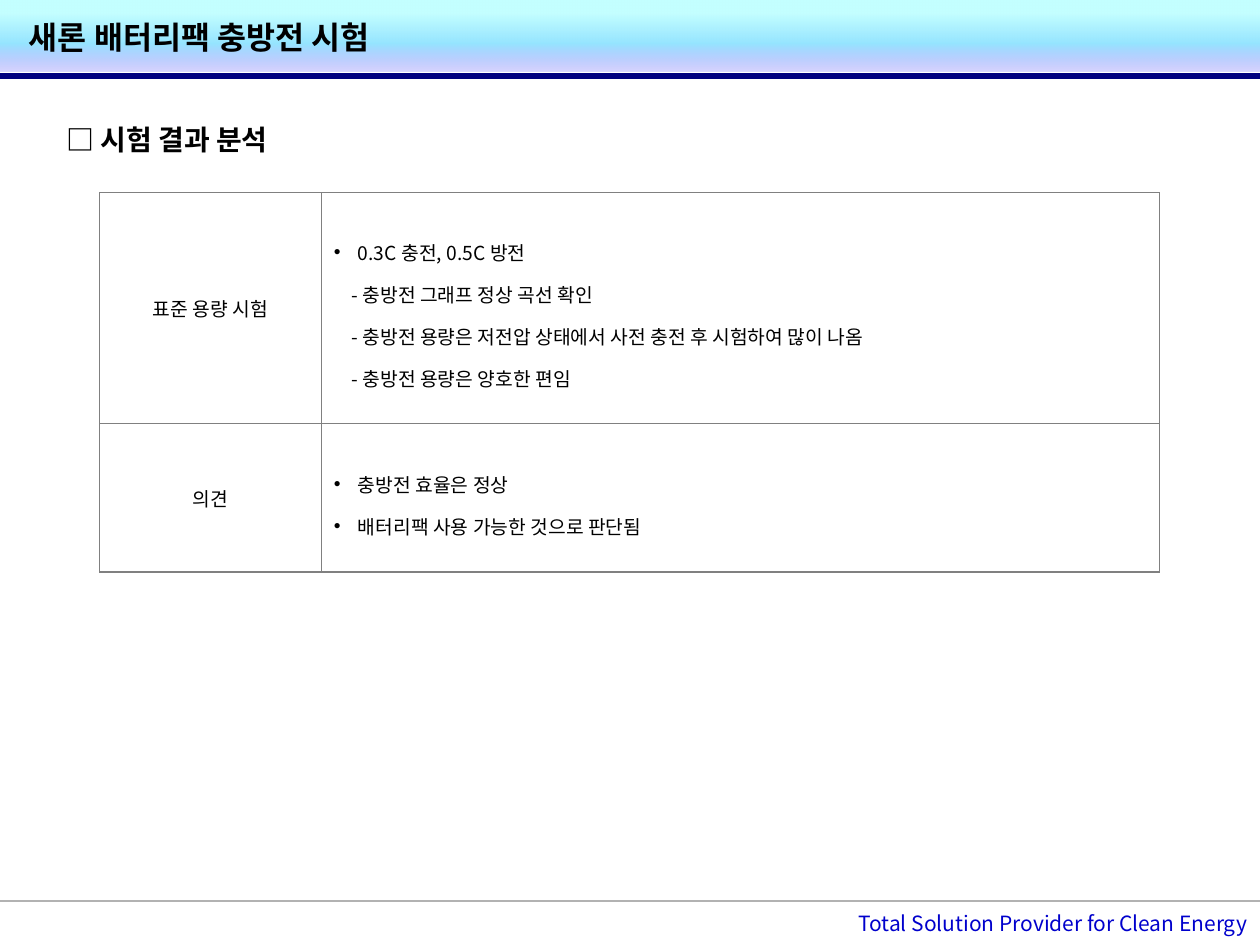
from lxml import etree
from pptx import Presentation
from pptx.dml.color import RGBColor
from pptx.enum import shapes, text
from pptx.oxml import parse_xml
from pptx.oxml.ns import nsdecls, qn
from pptx.util import Inches, Pt

COLORS = {"text": "000000", "slogan": "0000CC", "navy": "000080",
          "rule": "B2B2B2", "grid": "808080"}
BAND = [(19, "91FFFF", 53), (61, "33CCFF", 51), (100, "3F30FC", 20)]
SANS = "Noto Sans CJK KR"
LEFT, CENTER, RIGHT = (text.PP_ALIGN.LEFT, text.PP_ALIGN.CENTER,
                       text.PP_ALIGN.RIGHT)
MIDDLE = text.MSO_ANCHOR.MIDDLE

# (label, [(kind, line)]) for each table row
ROWS = [
    ("표준 용량 시험", [
        ("bullet", "0.3C 충전, 0.5C 방전"),
        ("dash", "- 충방전 그래프 정상 곡선 확인"),
        ("dash", "- 충방전 용량은 저전압 상태에서 사전 충전 후 시험하여 많이 나옴"),
        ("dash", "- 충방전 용량은 양호한 편임")]),
    ("의견", [
        ("bullet", "충방전 효율은 정상"),
        ("bullet", "배터리팩 사용 가능한 것으로 판단됨")]),
]
INDENT = {"bullet": (0.19, -0.19), "dash": (0.14, 0)}


def rgb(name):
    return RGBColor.from_string(COLORS[name])


class Deck:
    def __init__(self):
        self.prs = Presentation()
        self.prs.slide_width, self.prs.slide_height = Inches(10), Inches(7.5)
        self.slide = self.prs.slides.add_slide(self.prs.slide_layouts[5])
        self.shapes = self.slide.shapes

    def run(self, para, words, size, color="text", font=SANS, bold=False,
            align=LEFT, space=1.0):
        para.alignment, para.line_spacing = align, space
        para.space_before = Pt(0)
        run = para.add_run()
        run.text = words
        face = run.font
        face.size, face.bold, face.name = Pt(size), bold, font
        face.color.rgb = rgb(color)
        east = etree.SubElement(face._element, qn("a:ea"))
        east.set("typeface", SANS)

    def rule(self, y, color, width):
        line = self.shapes.add_connector(
            shapes.MSO_CONNECTOR.STRAIGHT, 0, Inches(y), Inches(10), Inches(y))
        line.line.color.rgb = rgb(color)
        line.line.width = Pt(width)
        etree.SubElement(line._element.spPr, qn("a:effectLst"))

    def band(self, height):
        """Draw the header band with its translucent vertical gradient."""
        rect = self.shapes.add_shape(
            shapes.MSO_SHAPE.RECTANGLE, 0, 0, Inches(10), Inches(height))
        rect.shadow.inherit = False
        rect.line.fill.background()
        stops = "".join(
            f'<a:gs pos="{pos * 1000}"><a:srgbClr val="{color}">'
            f'<a:alpha val="{alpha * 1000}"/></a:srgbClr></a:gs>'
            for pos, color, alpha in BAND)
        grad = parse_xml(
            f'<a:gradFill {nsdecls("a")} rotWithShape="1"><a:gsLst>{stops}'
            '</a:gsLst><a:lin ang="5400000" scaled="0"/></a:gradFill>')
        rect._element.spPr.find(qn("a:prstGeom")).addnext(grad)

    def title(self, box, words):
        title = self.shapes.title
        title.left, title.top, title.width, title.height = map(Inches, box)
        frame = title.text_frame
        frame.auto_size = text.MSO_AUTO_SIZE.NONE
        frame.vertical_anchor = MIDDLE
        self.run(frame.paragraphs[0], words, 18, bold=True)
        # Bring the title in front of the band
        self.shapes._spTree.append(title._element)

    def label(self, box, words, size, **style):
        frame = self.shapes.add_textbox(*map(Inches, box)).text_frame
        frame.word_wrap = True
        self.run(frame.paragraphs[0], words, size, **style)

    def border(self, cell):
        props = cell._tc.get_or_add_tcPr()
        for i, side in enumerate(("lnL", "lnR", "lnT", "lnB")):
            props.insert(i, parse_xml(
                f'<a:{side} {nsdecls("a")} w="{Pt(0.75)}"><a:solidFill>'
                f'<a:srgbClr val="{COLORS["grid"]}"/></a:solidFill>'
                f'</a:{side}>'))

    def item(self, para, kind, words):
        self.run(para, words, 11, space=1.5)
        props = para._p.get_or_add_pPr()
        margin, hang = INDENT[kind]
        props.set("marL", str(Inches(margin)))
        props.set("indent", str(Inches(hang)))
        if kind == "bullet":
            face = etree.SubElement(props, qn("a:buFont"))
            face.set("typeface", "Arial")
            etree.SubElement(props, qn("a:buChar")).set("char", "•")

    def table(self, box, widths, heights):
        table = self.shapes.add_table(
            len(heights), len(widths), *map(Inches, box)).table
        table.first_row = table.horz_banding = False
        for col, width in zip(table.columns, widths):
            col.width = Inches(width)
        for row, height, (name, items) in zip(table.rows, heights, ROWS):
            row.height = Inches(height)
            for cell in row.cells:
                cell.fill.background()
                cell.vertical_anchor = MIDDLE
                self.border(cell)
            head, body = row.cells
            self.run(head.text_frame.paragraphs[0], name, 11, align=CENTER)
            frame = body.text_frame
            for i, (kind, words) in enumerate(items):
                para = frame.add_paragraph() if i else frame.paragraphs[0]
                self.item(para, kind, words)


def main():
    deck = Deck()
    deck.rule(7.15, "rule", 1.5)
    deck.rule(0.6, "navy", 3.5)
    deck.band(0.57)
    deck.label((4.12, 7.18, 5.88, 0.3),
               "Total Solution Provider for Clean Energy", 12,
               color="slogan", align=RIGHT)
    deck.label((0.43, 0.84, 3.78, 0.41), "□ 시험 결과 분석", 16,
               font="Arial", bold=True, space=1.3)
    deck.title((0.13, 0.05, 8.41, 0.48), "새론 배터리팩 충방전 시험")
    deck.table((0.79, 1.53, 8.41, 3.01), (1.76, 6.65), (1.83, 1.18))
    deck.prs.save("out.pptx")


if __name__ == "__main__":
    main()
